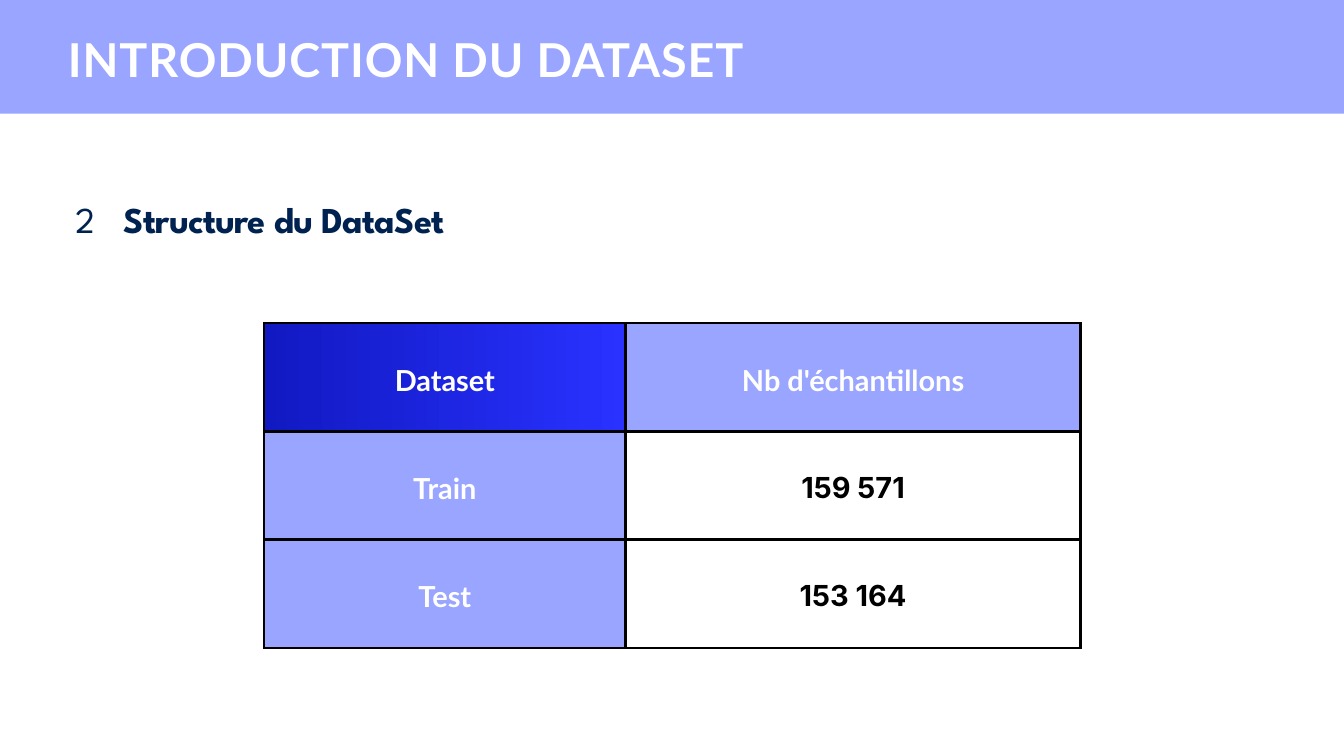
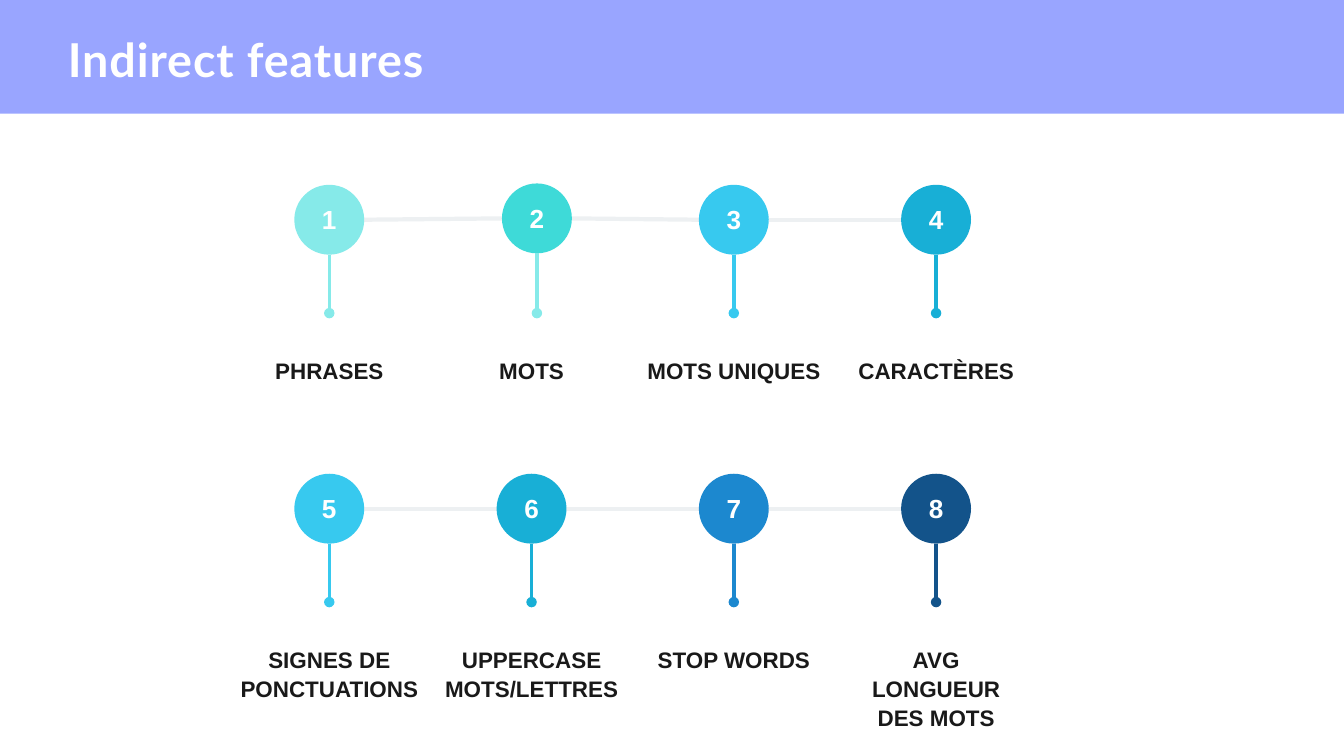
from pptx import Presentation
from pptx.dml.color import RGBColor
from pptx.enum import shapes, text
from pptx.oxml import ns
from pptx.util import Inches, Pt
from lxml import etree

LILAC, WHITE, BLACK = "99A5FF", "FFFFFF", "000000"
NAVY, INK, RAIL = "002250", "191919", "EDF0F2"
HEADER_GRADIENT = ("1119C2", "2932FF")
CENTER = text.PP_ALIGN.CENTER

TABLE_ROWS = [("Dataset", "Nb d'échantillons"),
              ("Train", "159 571"),
              ("Test", "153 164")]

# Each step: label, circle colour, stem colour, horizontal and vertical shift
FEATURE_ROWS = [
    [("PHRASES", "86EAE9", "86EAE9", 0, 0),
     ("MOTS", "3EDAD8", "86EAE9", 0.08, -0.02),
     ("MOTS UNIQUES", "37C9EF", "37C9EF", 0, 0),
     ("CARACTÈRES", "18AFD6", "18AFD6", 0, 0)],
    [("SIGNES DE PONCTUATIONS", "37C9EF", "37C9EF", 0, 0),
     ("UPPERCASE MOTS/LETTRES", "18AFD6", "18AFD6", 0, 0),
     ("STOP WORDS", "1C88CF", "1C88CF", 0, 0),
     ("AVG LONGUEUR\nDES MOTS", "13538A", "13538A", 0, 0)],
]


def rgb(hex_color):
    return RGBColor.from_string(hex_color)


def write(tf, content, size, font, color, leading, bold=True, align=None, spacing=0):
    """Fill a text frame, one paragraph for each line of content."""
    for i, line in enumerate(content.split("\n")):
        p = tf.add_paragraph() if i else tf.paragraphs[0]
        p.line_spacing = Pt(leading)
        p.alignment = align
        p.font.size, p.font.name, p.font.bold = Pt(size), font, bold
        p.font.color.rgb = rgb(color)
        r = p.add_run()
        r.text = line
        if spacing:
            r._r.get_or_add_rPr().set("spc", str(round(spacing * 100)))


def set_margins(tf, bottom=0):
    tf.margin_left = tf.margin_top = tf.margin_right = 0
    tf.margin_bottom = Inches(bottom)


def add_text(s, box, content, **style):
    tf = s.shapes.add_textbox(*map(Inches, box)).text_frame
    tf.word_wrap = True
    set_margins(tf)
    write(tf, content, **style)


def add_shape(s, preset, box, color):
    sp = s.shapes.add_shape(preset, *map(Inches, box))
    sp.shadow.inherit = False
    sp.fill.solid()
    sp.fill.fore_color.rgb = rgb(color)
    sp.line.fill.background()
    return sp


def add_line(s, start, end, color, width, dot=False):
    cx = s.shapes.add_connector(shapes.MSO_CONNECTOR.STRAIGHT,
                                *map(Inches, (*start, *end)))
    cx.line.color.rgb = rgb(color)
    cx.line.width = Pt(width)
    if dot:
        etree.SubElement(cx.line._get_or_add_ln(), ns.qn("a:tailEnd"), type="oval")
    etree.SubElement(cx._element.spPr, ns.qn("a:effectLst"))


def new_slide(prs, title):
    """Blank slide with the title band."""
    s = prs.slides.add_slide(prs.slide_layouts[6])
    add_shape(s, shapes.MSO_SHAPE.RECTANGLE, (0, 0, 20, 1.69), LILAC)
    add_text(s, (1.01, 0.32, 14.89, 0.93), title, size=50, font="Lato",
             color=WHITE, leading=70, spacing=1)
    return s


def add_heading(s, x, y, number, heading):
    style = dict(size=39, font="League Spartan", color=NAVY, leading=46, spacing=-0.8)
    add_text(s, (x, y, 0.71, 0.64), number, bold=False, **style)
    add_text(s, (x + 0.72, y, 7.47, 0.64), heading, **style)


def border_cell(cell, color, width):
    tc_pr = cell._tc.get_or_add_tcPr()
    for i, side in enumerate(("lnL", "lnR", "lnT", "lnB")):
        ln = etree.Element(ns.qn("a:" + side), w=str(Pt(width)))
        fill = etree.SubElement(ln, ns.qn("a:solidFill"))
        etree.SubElement(fill, ns.qn("a:srgbClr"), val=color)
        tc_pr.insert(i, ln)  # borders come before the fill


def fill_cell(cell, row, col):
    if row and col:
        cell.fill.background()
    elif row or col:
        cell.fill.solid()
        cell.fill.fore_color.rgb = rgb(LILAC)
    else:
        cell.fill.gradient()
        cell.fill.gradient_angle = 0
        for stop, color in zip(cell.fill.gradient_stops, HEADER_GRADIENT):
            stop.color.rgb = rgb(color)


def add_sample_table(s, x, y, widths, row_height):
    n = len(TABLE_ROWS)
    table = s.shapes.add_table(n, len(widths), *map(
        Inches, (x, y, sum(widths), n * row_height))).table
    for column, width in zip(table.columns, widths):
        column.width = Inches(width)
    for i, values in enumerate(TABLE_ROWS):
        table.rows[i].height = Inches(row_height)
        for j, value in enumerate(values):
            cell = table.cell(i, j)
            cell.vertical_anchor = text.MSO_ANCHOR.MIDDLE
            cell.margin_left = cell.margin_right = Inches(0.21)
            cell.margin_top = cell.margin_bottom = Inches(0.21)
            is_value = i and j
            write(cell.text_frame, value, 31, "Inter" if is_value else "Lato",
                  BLACK if is_value else WHITE, 43.4, align=CENTER)
            fill_cell(cell, i, j)
            border_cell(cell, BLACK, 3)


def add_feature_row(s, x, y, steps, first_number):
    """Row of numbered circles; x, y is the centre of the first one."""
    pitch, radius, stem_end, label_w = 3.01, 0.52, 1.39, 2.69
    centers = [(x + i * pitch + dx, y + dy)
               for i, (*_, dx, dy) in enumerate(steps)]

    # Rails between neighbouring circles
    for (x1, y1), (x2, y2) in zip(centers, centers[1:]):
        add_line(s, (x1 + radius, y1), (x2 - radius, y2), RAIL, 4.5)

    for i, ((label, color, stem, *_), (cx, cy)) in enumerate(zip(steps, centers)):
        # Numbered circle
        sp = add_shape(s, shapes.MSO_SHAPE.OVAL,
                       (cx - radius, cy - radius, 2 * radius, 2 * radius), color)
        tf = sp.text_frame
        set_margins(tf, bottom=0.1)
        tf.vertical_anchor = text.MSO_ANCHOR.MIDDLE
        write(tf, str(first_number + i), 28, "Arial", WHITE, 39.2, align=CENTER)
        # Stem and label
        add_line(s, (cx, cy + radius), (cx, y + stem_end), stem, 3.75, dot=True)
        add_text(s, (x + i * pitch - label_w / 2, y + 2.01, label_w,
                     0.42 if label.count(" ") == 0 or i == 2 else 0.85),
                 label, size=24, font="Arial", color=INK, leading=31.2, align=CENTER)


def dataset_slide(prs):
    s = new_slide(prs, "INTRODUCTION DU DATASET")
    add_heading(s, 1.12, 2.94, "2", "Structure du DataSet")
    add_sample_table(s, 3.93, 4.81, (5.38, 6.77), 1.61)


def features_slide(prs):
    s = new_slide(prs, "Indirect features")
    first_number = 1
    for y, steps in zip((3.27, 7.57), FEATURE_ROWS):
        add_feature_row(s, 4.9, y, steps, first_number)
        first_number += len(steps)


def main():
    prs = Presentation()
    prs.slide_width, prs.slide_height = Inches(20), Inches(11.25)
    dataset_slide(prs)
    features_slide(prs)
    prs.save("out.pptx")


if __name__ == "__main__":
    main()
